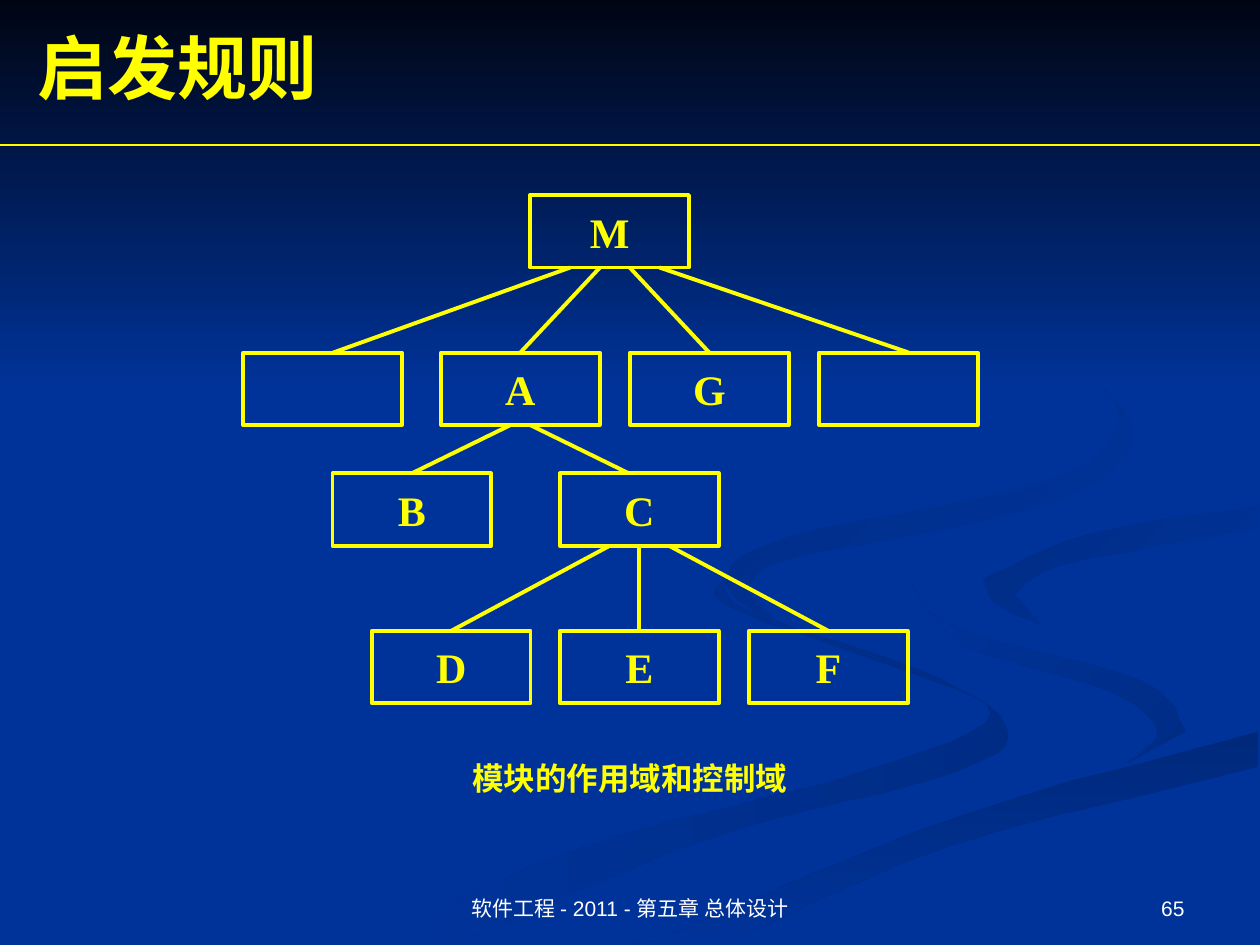
from lxml import etree
from pptx import Presentation
from pptx.dml.color import RGBColor
from pptx.enum.shapes import MSO_CONNECTOR, MSO_SHAPE
from pptx.enum.text import MSO_ANCHOR, MSO_AUTO_SIZE, PP_ALIGN
from pptx.oxml.ns import qn
from pptx.util import Pt

STRAIGHT = MSO_CONNECTOR.STRAIGHT
RECTANGLE = MSO_SHAPE.RECTANGLE
TOP, MIDDLE, BOTTOM = MSO_ANCHOR.TOP, MSO_ANCHOR.MIDDLE, MSO_ANCHOR.BOTTOM
LEFT, CENTER, RIGHT = PP_ALIGN.LEFT, PP_ALIGN.CENTER, PP_ALIGN.RIGHT

YELLOW = RGBColor(0xFF, 0xFF, 0x00)
WHITE = RGBColor(0xFF, 0xFF, 0xFF)
BLUE = RGBColor(0x00, 0x33, 0x99)
NIGHT = RGBColor(0x00, 0x05, 0x14)
SHADE = RGBColor(0x00, 0x2C, 0x85)
DEEP_SHADE = RGBColor(0x00, 0x29, 0x7C)
SERIF, SANS = "Times New Roman", "Arial"

# Content
TITLE = "启发规则"
CAPTION = "模块的作用域和控制域"
FOOTER = "软件工程 - 2011 - 第五章 总体设计"
PAGE_NUMBER = "65"

# Module rows: key and left edge of each box; one-letter keys are labels
ROWS = [
    (111.5, {"M": 303}),
    (201.5, {"first": 139, "A": 252, "G": 360, "last": 468}),
    (270.5, {"B": 190, "C": 320}),
    (360.5, {"D": 212.5, "E": 320, "F": 428}),
]
BOX_WIDTH, BOX_HEIGHT = 90.7, 41.4

# Fans: parent, first start from its centre, step, children
FANS = [
    ("M", -22.5, 17, ["first", "A", "G", "last"]),
    ("A", -5.6, 11.2, ["B", "C"]),
    ("C", -17, 17, ["D", "E", "F"]),
]
END_OFFSETS = {"first": 6, "last": 6, "C": -6}

# Background ribbons: colours, clockwise angle, the two curved edges
RIBBONS = [
    (SHADE, BLUE, 180,
     [(414, 330), (415, 346), (502, 378), (566, 408), (492, 441), (330, 485), (216, 539)],
     [(260, 539), (406, 479), (544, 442), (576, 418), (536, 387), (428, 349), (414, 330)]),
    (SHADE, BLUE, 225,
     [(521, 334), (552, 369), (634, 395), (661, 418), (644, 436)],
     [(678, 418), (652, 389), (546, 359), (521, 334)]),
    (DEEP_SHADE, BLUE, 90,
     [(362, 539), (411, 539), (541, 484), (719, 438)],
     [(719, 418), (550, 466), (374, 538)]),
    (BLUE, SHADE, 225,
     [(562, 331), (569, 345), (595, 357)],
     [(580, 340), (607, 323), (719, 302)],
     [(719, 289), (623, 305), (562, 331)]),
    (BLUE, SHADE, 225,
     [(549, 168), (609, 201), (640, 241), (598, 275), (450, 307), (415, 333), (448, 360)],
     [(427, 338), (449, 320), (566, 297), (631, 272), (641, 233), (549, 168)]),
]
CURVE_STEPS = 6


def smooth(points):
    """Catmull-Rom curve through the points."""
    padded = [points[0], *points, points[-1]]
    curve = []
    for a, b, c, d in zip(padded, padded[1:], padded[2:], padded[3:]):
        for step in range(CURVE_STEPS):
            t = step / CURVE_STEPS
            curve.append(tuple(
                q + t / 2 * (r - p + t * (2 * p - 5 * q + 4 * r - s
                                          + t * (3 * (q - r) + s - p)))
                for p, q, r, s in zip(a, b, c, d)))
    return curve + [points[-1]]


def place(shape, left, top, width, height):
    shape.left, shape.top = Pt(left), Pt(top)
    shape.width, shape.height = Pt(width), Pt(height)


def paint_gradient(shape, start, end, angle):
    shape.shadow.inherit = False
    shape.line.fill.background()
    shape.fill.gradient()
    shape.fill.gradient_angle = 360 - angle
    for stop, color in zip(shape.fill.gradient_stops, (start, end)):
        stop.color.rgb = color


def write(shape, text, size, font, color, align, anchor, bold=False):
    frame = shape.text_frame
    frame.word_wrap = True
    frame.auto_size = MSO_AUTO_SIZE.NONE
    frame.vertical_anchor = anchor
    para = frame.paragraphs[0]
    para.alignment = align
    span = para.add_run()
    span.text = text
    span.font.size, span.font.name, span.font.bold = Pt(size), font, bold
    span.font.color.rgb = color


def draw_line(page, x1, y1, x2, y2, weight):
    line = page.shapes.add_connector(STRAIGHT, Pt(x1), Pt(y1), Pt(x2), Pt(y2))
    line.line.color.rgb = YELLOW
    line.line.width = Pt(weight)
    etree.SubElement(line._element.spPr, qn("a:effectLst"))
    return line


def draw_background(page):
    page.background.fill.solid()
    page.background.fill.fore_color.rgb = BLUE
    for start, end, angle, *edges in RIBBONS:
        outline = [point for edge in edges for point in smooth(edge)]
        builder = page.shapes.build_freeform(*outline[0], scale=Pt(1))
        builder.add_line_segments(outline[1:], close=True)
        paint_gradient(builder.convert_to_shape(), start, end, angle)
    sky = page.shapes.add_shape(RECTANGLE, 0, 0, Pt(720), Pt(222))
    paint_gradient(sky, NIGHT, BLUE, 90)


def draw_modules(page):
    boxes, tops, centres = {}, {}, {}
    for top, row in ROWS:
        for key, left in row.items():
            box = page.shapes.add_shape(RECTANGLE, Pt(left), Pt(top),
                                        Pt(BOX_WIDTH), Pt(BOX_HEIGHT))
            box.shadow.inherit = False
            box.fill.background()
            box.line.color.rgb = YELLOW
            box.line.width = Pt(2.25)
            if len(key) == 1:
                write(box, key, 24, SERIF, YELLOW, CENTER, MIDDLE, bold=True)
            boxes[key], tops[key], centres[key] = box, top, left + BOX_WIDTH / 2

    for parent, first, step, children in FANS:
        for index, child in enumerate(children):
            start_offset = first + index * step
            end_offset = END_OFFSETS.get(child, 0)
            line = draw_line(page, centres[parent] + start_offset,
                             tops[parent] + BOX_HEIGHT,
                             centres[child] + end_offset, tops[child], 2.25)
            if start_offset == 0:
                line.begin_connect(boxes[parent], 2)
            if end_offset == 0:
                line.end_connect(boxes[child], 0)


def main():
    deck = Presentation()
    deck.slide_width, deck.slide_height = Pt(720), Pt(540)
    page = deck.slides.add_slide(deck.slide_layouts[5])
    draw_background(page)

    # Title, raised above the background
    title = page.shapes.title
    page.shapes._spTree.append(title._element)
    place(title, 14.4, 10, 705.6, 55.5)
    write(title, TITLE, 40, SERIF, YELLOW, LEFT, MIDDLE, bold=True)
    draw_line(page, 0, 82.8, 720, 82.8, 0.75)

    draw_modules(page)

    # Caption and footer
    for text, area, size, font, color, align, anchor, bold in [
        (CAPTION, (178.5, 430, 363, 29), 18, SERIF, YELLOW, CENTER, TOP, True),
        (FOOTER, (246, 492, 228, 37.5), 12, SANS, WHITE, CENTER, BOTTOM, False),
        (PAGE_NUMBER, (516, 492, 168, 37.5), 12, SANS, WHITE, RIGHT, BOTTOM, False),
    ]:
        box = page.shapes.add_textbox(*map(Pt, area))
        write(box, text, size, font, color, align, anchor, bold)

    deck.save("out.pptx")


if __name__ == "__main__":
    main()
